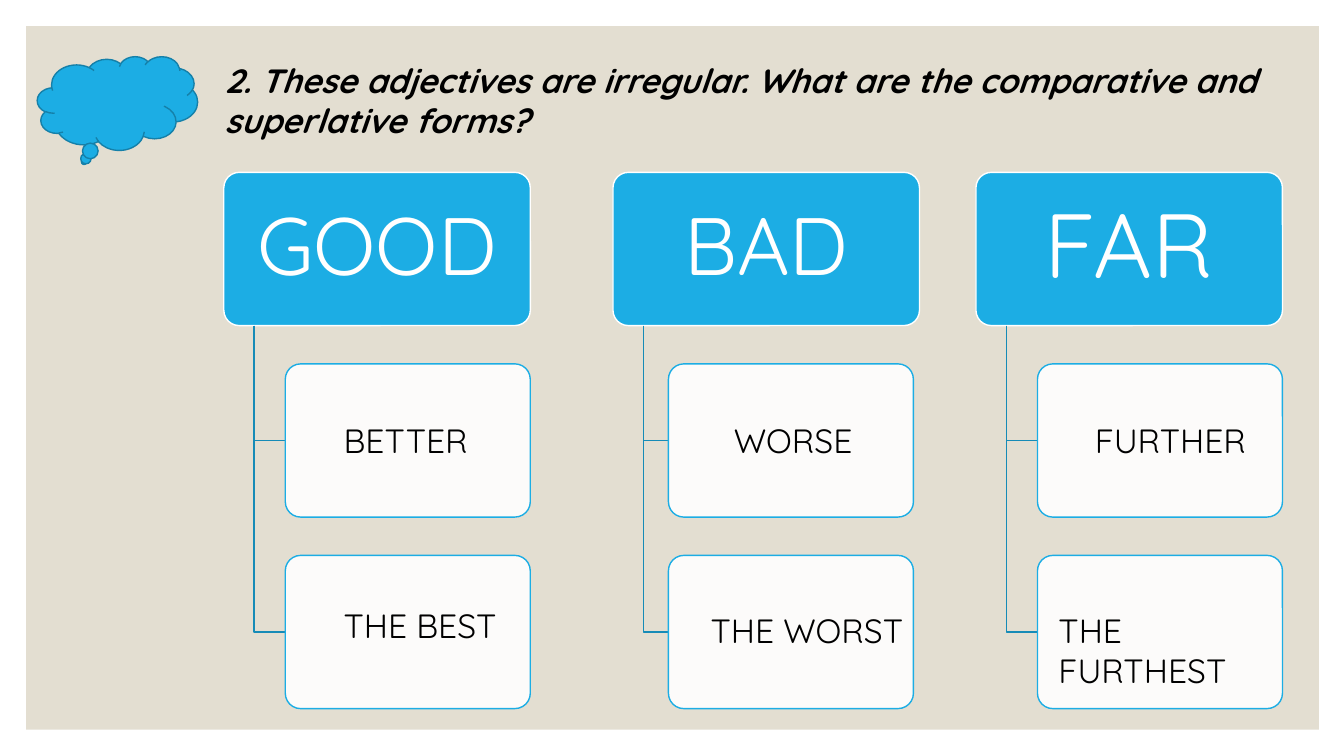
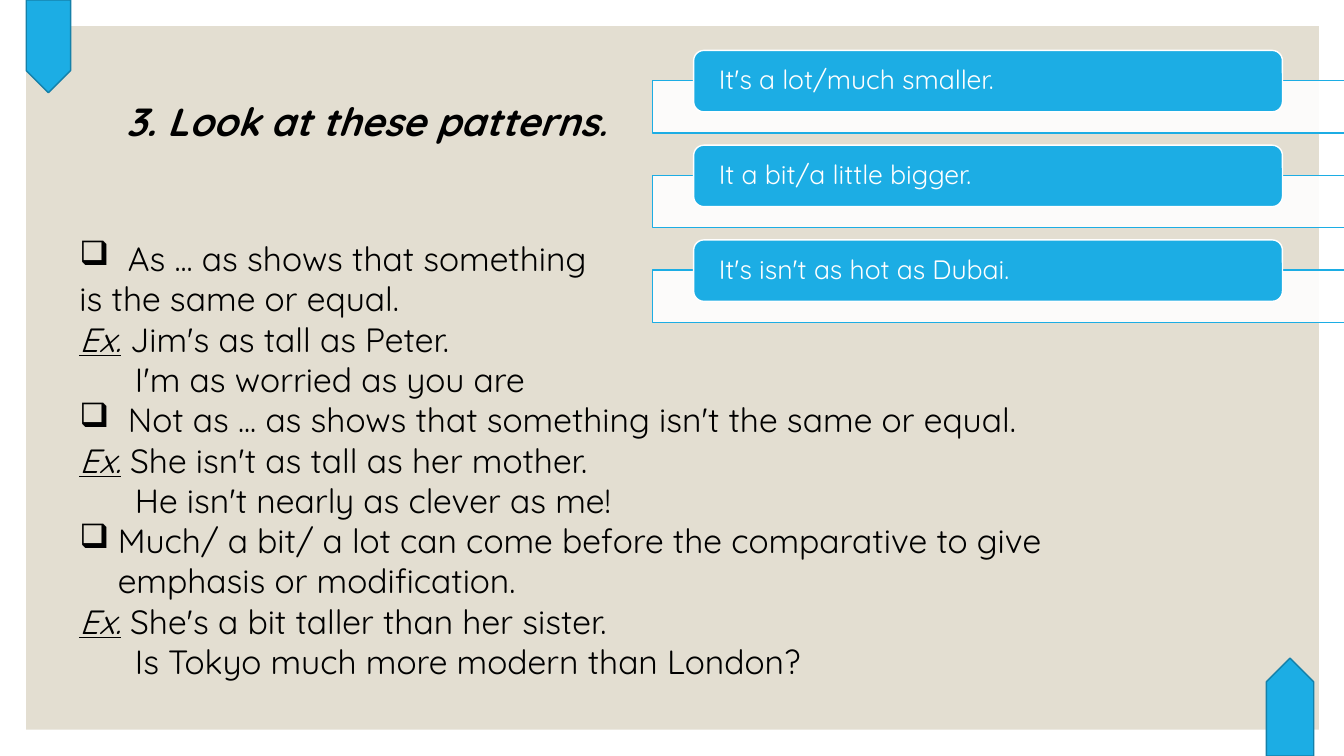
from dataclasses import dataclass

from lxml.etree import SubElement
from pptx import Presentation
from pptx.dml.color import RGBColor
from pptx.enum.shapes import MSO_SHAPE
from pptx.enum.text import MSO_ANCHOR, PP_ALIGN
from pptx.oxml.ns import qn
from pptx.util import Inches, Pt


@dataclass(frozen=True)
class Theme:
    font: str = "Quicksand"
    sand: str = "E3DED1"
    blue: str = "1CADE4"
    edge: str = "1580A9"
    link: str = "168BB7"
    white: str = "FFFFFF"
    black: str = "000000"
    body: int = 24
    title: int = 28
    bar: int = 19
    head: int = 58
    big: int = 65


T = Theme()


def rgb(code):
    return RGBColor.from_string(code)


def style(shape, fill, line, alpha=None):
    shape.shadow.inherit = False
    if fill:
        shape.fill.solid()
        shape.fill.fore_color.rgb = rgb(fill)
        if alpha:
            color = shape.fill._xPr.find(qn("a:solidFill"))[0]
            SubElement(color, qn("a:alpha"), val=str(alpha * 1000))
    else:
        shape.fill.background()
    if line:
        shape.line.color.rgb = rgb(line)
        shape.line.width = Pt(1)
    else:
        shape.line.fill.background()
    return shape


def block(slide, kind, box, fill, line=None, alpha=None):
    shape = slide.shapes.add_shape(kind, *map(Inches, box))
    return style(shape, fill, line, alpha)


def add_run(para, text, size=T.body, color=T.black, bold=False,
            slant=False, under=False):
    run = para.add_run()
    run.text = text
    font = run.font
    font.name, font.size, font.color.rgb = T.font, Pt(size), rgb(color)
    font.bold, font.italic, font.underline = bold, slant, under


def text_box(slide, box):
    frame = slide.shapes.add_textbox(*map(Inches, box)).text_frame
    frame.word_wrap = True
    return frame


def label(shape, text, size, align, side):
    frame = shape.text_frame
    frame.word_wrap = True
    frame.vertical_anchor = MSO_ANCHOR.MIDDLE
    frame.margin_left = frame.margin_right = Inches(side)
    frame.margin_top = frame.margin_bottom = 0
    para = frame.paragraphs[0]
    para.alignment, para.line_spacing = align, 0.9
    add_run(para, text, size, T.white)


def title(slide, box, *parts):
    para = text_box(slide, box).paragraphs[0]
    for text, size in parts:
        add_run(para, text, size, bold=True, slant=True)


def new_slide(deck):
    slide = deck.slides.add_slide(deck.slide_layouts[6])
    block(slide, MSO_SHAPE.RECTANGLE, (0.26, 0.26, 12.82, 6.98), T.sand)
    return slide


# Word tree: a head, then answer cards hung from it by elbow lines
def tree(slide, left, top, word, size, shift, answers):
    wide, high, step = 3.04, 1.52, 1.9

    def card(x, y, w, *paint):
        shape = block(slide, MSO_SHAPE.ROUNDED_RECTANGLE, (x, y, w, high),
                      *paint)
        shape.adjustments[0] = 0.1
        return shape

    head = card(left, top, wide, T.blue, T.white)
    label(head, word, size, PP_ALIGN.CENTER, 0.12)
    stem, side = left + 0.3, left + shift
    for row, (text, dx, dy) in enumerate(answers, 1):
        y = top + row * step
        mid = y + high / 2
        pen = slide.shapes.build_freeform(
            Inches(stem), Inches(top + high), scale=1.0)
        pen.add_line_segments(
            [(Inches(stem), Inches(mid)), (Inches(side), Inches(mid))],
            close=False)
        style(pen.convert_to_shape(), None, T.link)
        card(side, y, 2.43, T.white, T.blue, 90)
        frame = text_box(slide, (left + dx, y + dy, 2.4, 0.5))
        add_run(frame.paragraphs[0], text)


def forms(deck):
    slide = new_slide(deck)
    title(slide, (2.13, 0.54, 11.2, 0.91),
          ("2. These adjectives are irregular. What are the comparative "
           "and superlative forms?", T.body))
    block(slide, MSO_SHAPE.CLOUD_CALLOUT, (0.37, 0.56, 1.59, 0.93),
          T.blue, T.edge)
    trees = [
        (2.22, "GOOD", T.head, 0.61,
         [("BETTER", 1.09, 0.51), ("THE BEST", 1.09, 0.44)]),
        (6.08, "BAD", T.head, 0.55,
         [("WORSE", 1.1, 0.51), ("THE WORST", 0.87, 0.49)]),
        (9.68, "FAR", T.big, 0.61,
         [("FURTHER", 1.08, 0.51), ("THE FURTHEST", 0.72, 0.49)]),
    ]
    for left, *rest in trees:
        tree(slide, left, 1.71, *rest)


# Example bars: a blue tab over a pale strip that runs off the edge
def bars(slide, left, top, texts):
    for row, text in enumerate(texts):
        y = top + row * 0.94
        block(slide, MSO_SHAPE.RECTANGLE, (left, y + 0.3, 8.34, 0.52),
              T.white, T.blue, 90)
        tab = block(slide, MSO_SHAPE.ROUNDED_RECTANGLE,
                    (left + 0.41, y, 5.84, 0.61), T.blue, T.white)
        label(tab, text, T.bar, PP_ALIGN.LEFT, 0.22)


def indent(para, left, hang=0, mark=None):
    props = para._p.get_or_add_pPr()
    props.set("marL", str(Inches(left)))
    props.set("indent", str(-Inches(hang)))
    if mark:
        SubElement(props, qn("a:buChar"), char=mark)


# Rules: bulleted lines, plain lines, and examples led by "Ex."
def rules(slide, box, lines):
    frame = text_box(slide, box)
    for row, (kind, text) in enumerate(lines):
        para = frame.add_paragraph() if row else frame.paragraphs[0]
        if kind == "rule":
            indent(para, 0.48, 0.48, "❑")
        elif kind == "tight":
            indent(para, 0.38, 0.38, "❑")
        elif kind == "more":
            indent(para, 0.55)
        elif kind == "ex":
            add_run(para, "Ex.", slant=True, under=True)
            add_run(para, " ")
        add_run(para, text)


def patterns(deck):
    slide = new_slide(deck)
    title(slide, (1.15, 0.92, 5.3, 0.57),
          ("3. Look at these patterns", T.title), (".", T.body))
    # Corner tags
    for box, turn in [((0.02, 0.24, 0.92, 0.44), 90),
                      ((12.31, 6.78, 0.97, 0.47), 270)]:
        tag = block(slide, MSO_SHAPE.PENTAGON, box, T.blue, T.edge)
        tag.rotation = turn
    bars(slide, 6.47, 0.5, [
        "It's a lot/much smaller.",
        "It a bit/a little bigger.",
        "It's isn't as hot as Dubai.",
    ])
    rules(slide, (0.69, 2.31, 10.76, 4.85), [
        ("rule", "As ... as shows that something"),
        ("plain", "is the same or equal."),
        ("ex", "Jim's as tall as Peter."),
        ("more", "I'm as worried as you are"),
        ("rule", "Not as ... as shows that something isn't the same "
                 "or equal."),
        ("ex", "She isn't as tall as her mother."),
        ("more", "He isn't nearly as clever as me!"),
        ("tight", "Much/ a bit/ a lot can come before the comparative to "
                  "give emphasis or modification."),
        ("ex", "She's a bit taller than her sister."),
        ("more", "Is Tokyo much more modern than London?"),
    ])


def main():
    deck = Presentation()
    deck.slide_width, deck.slide_height = Inches(13.33), Inches(7.5)
    forms(deck)
    patterns(deck)
    deck.save("out.pptx")


if __name__ == "__main__":
    main()
